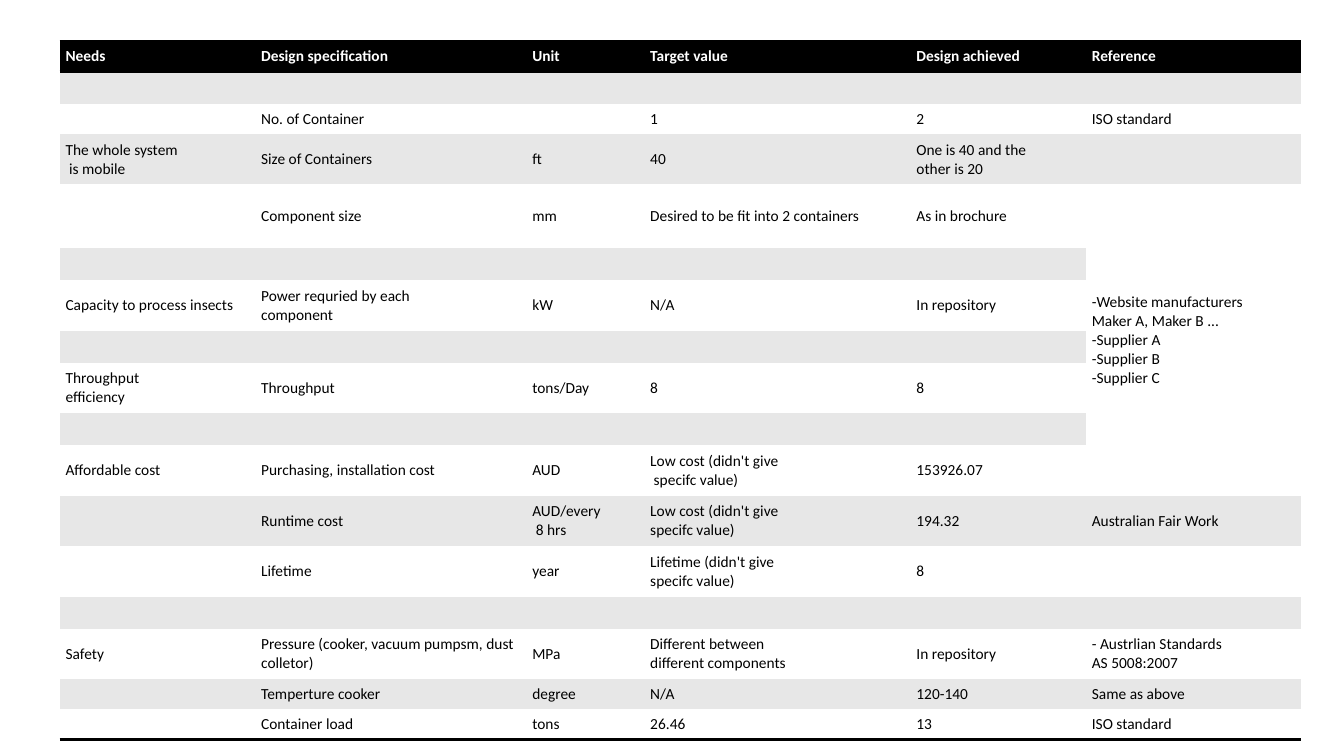
from dataclasses import dataclass

import lxml.etree
import pptx
import pptx.dml.color
import pptx.enum.text
import pptx.oxml.ns
import pptx.util

SLIDE_W, SLIDE_H = 13.33, 7.5
LEFT, TOP = 0.59, 0.41
FONT, SIZE = "Calibri", 11
BLACK, WHITE, GREY = "000000", "FFFFFF", "E7E7E7"
PLAIN_STYLE = "{2D5ABB26-0587-4C30-8999-92F81FD0307C}"
BLANK_H, LINE_H, TWO_LINE_H = 0.32, 0.3, 0.5
REFERENCE_COL, SUPPLIERS_FIRST, SUPPLIERS_LAST = 5, 4, 10


@dataclass
class Column:
    heading: str
    width: float


@dataclass
class Row:
    needs: str = ""
    specification: str = ""
    unit: str = ""
    target: str = ""
    achieved: str = ""
    reference: str = ""
    fixed_height: float = 0

    @property
    def texts(self) -> list[str]:
        return [self.needs, self.specification, self.unit,
                self.target, self.achieved, self.reference]

    @property
    def height(self) -> float:
        if self.fixed_height:
            return self.fixed_height
        if not any(self.texts):
            return BLANK_H
        return TWO_LINE_H if any("\n" in t for t in self.texts) else LINE_H


COLUMNS = [
    Column("Needs", 1.94),
    Column("Design specification", 2.69),
    Column("Unit", 1.17),
    Column("Target value", 2.64),
    Column("Design achieved", 1.74),
    Column("Reference", 2.13),
]
SUPPLIERS = "-Website manufacturers\nMaker A, Maker B ...\n-Supplier A\n-Supplier B\n-Supplier C"
ROWS = [
    Row(*[c.heading for c in COLUMNS]),
    Row(),
    Row("", "No. of Container", "", "1", "2", "ISO standard"),
    Row("The whole system\n is mobile", "Size of Containers", "ft", "40",
        "One is 40 and the\nother is 20"),
    Row("", "Component size", "mm", "Desired to be fit into 2 containers",
        "As in brochure", SUPPLIERS, fixed_height=0.63),
    Row(),
    Row("Capacity to process insects", "Power requried by each\ncomponent", "kW", "N/A",
        "In repository"),
    Row(),
    Row("Throughput\nefficiency", "Throughput", "tons/Day", "8", "8"),
    Row(),
    Row("Affordable cost", "Purchasing, installation cost", "AUD",
        "Low cost (didn't give\n specifc value)", "153926.07"),
    Row("", "Runtime cost", "AUD/every\n 8 hrs", "Low cost (didn't give\nspecifc value)",
        "194.32", "Australian Fair Work"),
    Row("", "Lifetime", "year", "Lifetime (didn't give\nspecifc value)", "8"),
    Row(),
    Row("Safety", "Pressure (cooker, vacuum pumpsm, dust colletor)", "MPa",
        "Different between\ndifferent components", "In repository",
        "- Austrlian Standards\nAS 5008:2007"),
    Row("", "Temperture cooker", "degree", "N/A", "120-140", "Same as above"),
    Row("", "Container load", "tons", "26.46", "13", "ISO standard"),
]


def rgb(value: str) -> pptx.dml.color.RGBColor:
    return pptx.dml.color.RGBColor.from_string(value)


def add_child(parent, tag: str, **attributes: str):
    return lxml.etree.SubElement(parent, pptx.oxml.ns.qn(tag), attributes)


def write(tf, text: str, *, color: str = BLACK, bold: bool = False) -> None:
    """Put each line of text in its own paragraph; an empty one keeps the table's size."""
    for i, line in enumerate(text.split("\n")):
        p = tf.add_paragraph() if i else tf.paragraphs[0]
        if not line:
            add_child(p._p, "a:endParaRPr", sz=str(SIZE * 100))
            continue
        r = p.add_run()
        r.text = line
        r.font.name, r.font.size, r.font.bold = FONT, pptx.util.Pt(SIZE), bold
        r.font.color.rgb = rgb(color)


def add_borders(cell, sides: str) -> None:
    for side in sides:
        line = add_child(cell._tc.get_or_add_tcPr(), f"a:ln{side}", w=str(pptx.util.Pt(2)))
        add_child(add_child(line, "a:solidFill"), "a:srgbClr", val=BLACK)


def format_cell(cell, fill: str, borders: str) -> None:
    cell.margin_left = cell.margin_right = pptx.util.Inches(0.06)
    cell.margin_top = cell.margin_bottom = pptx.util.Inches(0.03)
    cell.vertical_anchor = pptx.enum.text.MSO_ANCHOR.MIDDLE
    add_borders(cell, borders)
    cell.fill.solid()
    cell.fill.fore_color.rgb = rgb(fill)


def add_specification_table(s) -> None:
    width = sum(c.width for c in COLUMNS)
    height = sum(row.height for row in ROWS)
    table = s.shapes.add_table(len(ROWS), len(COLUMNS), *map(
        pptx.util.Inches, (LEFT, TOP, width, height))).table
    table.horz_banding = False
    table._tbl.tblPr.find(pptx.oxml.ns.qn("a:tableStyleId")).text = PLAIN_STYLE
    for i, column in enumerate(COLUMNS):
        table.columns[i].width = pptx.util.Inches(column.width)
    for i, row in enumerate(ROWS):
        table.rows[i].height = pptx.util.Inches(row.height)
        header, last = i == 0, i == len(ROWS) - 1
        fill = BLACK if header else GREY if i % 2 else WHITE
        borders = "TB" if header else "B" if last else ""
        for j, text in enumerate(row.texts):
            cell = table.cell(i, j)
            format_cell(cell, fill, borders)
            write(cell.text_frame, text, color=WHITE if header else BLACK, bold=header)
    table.cell(SUPPLIERS_FIRST, REFERENCE_COL).merge(
        table.cell(SUPPLIERS_LAST, REFERENCE_COL))


def main() -> None:
    prs = pptx.Presentation()
    prs.slide_width = pptx.util.Inches(SLIDE_W)
    prs.slide_height = pptx.util.Inches(SLIDE_H)
    s = prs.slides.add_slide(prs.slide_layouts[6])
    add_specification_table(s)
    prs.save("out.pptx")


if __name__ == "__main__":
    main()
